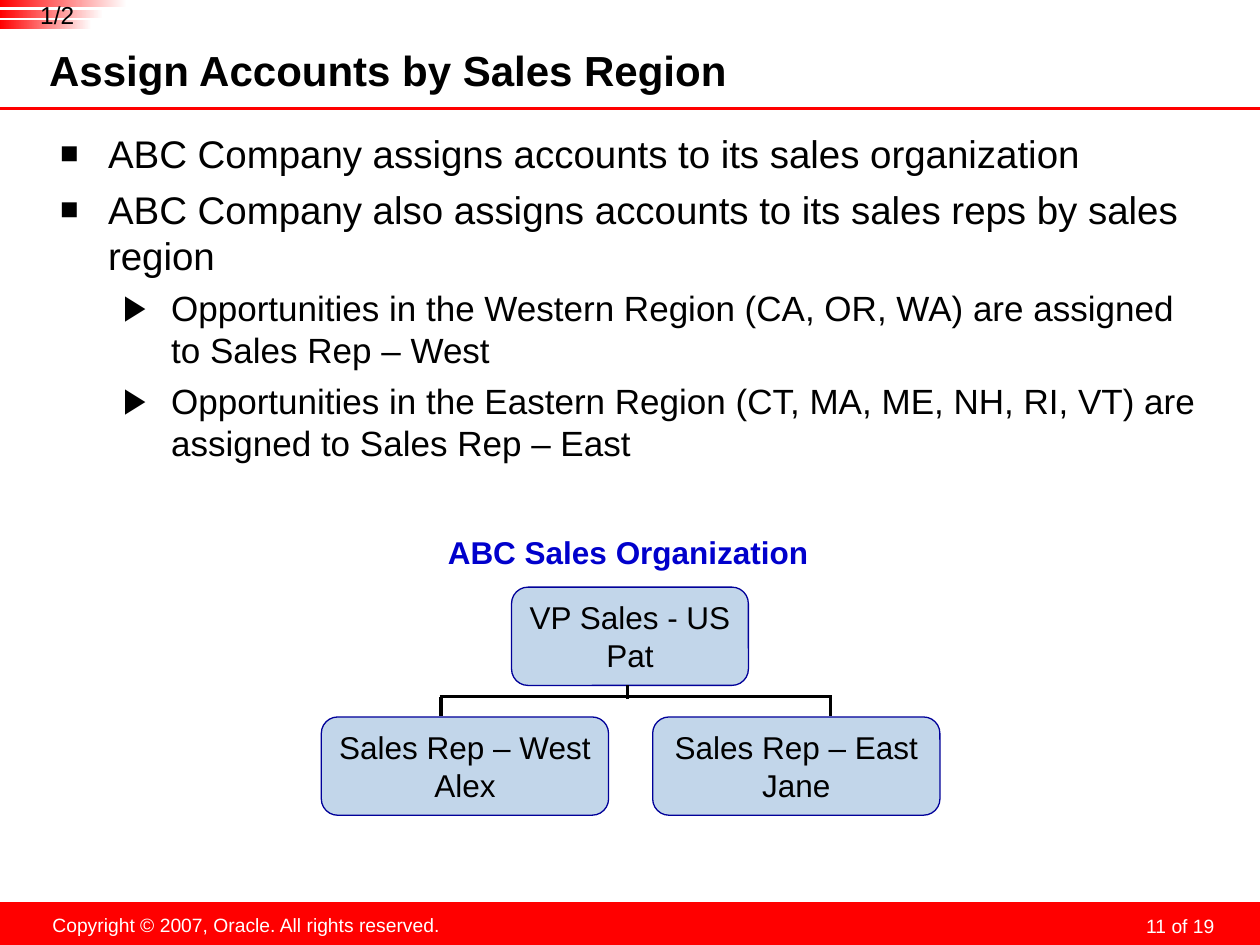
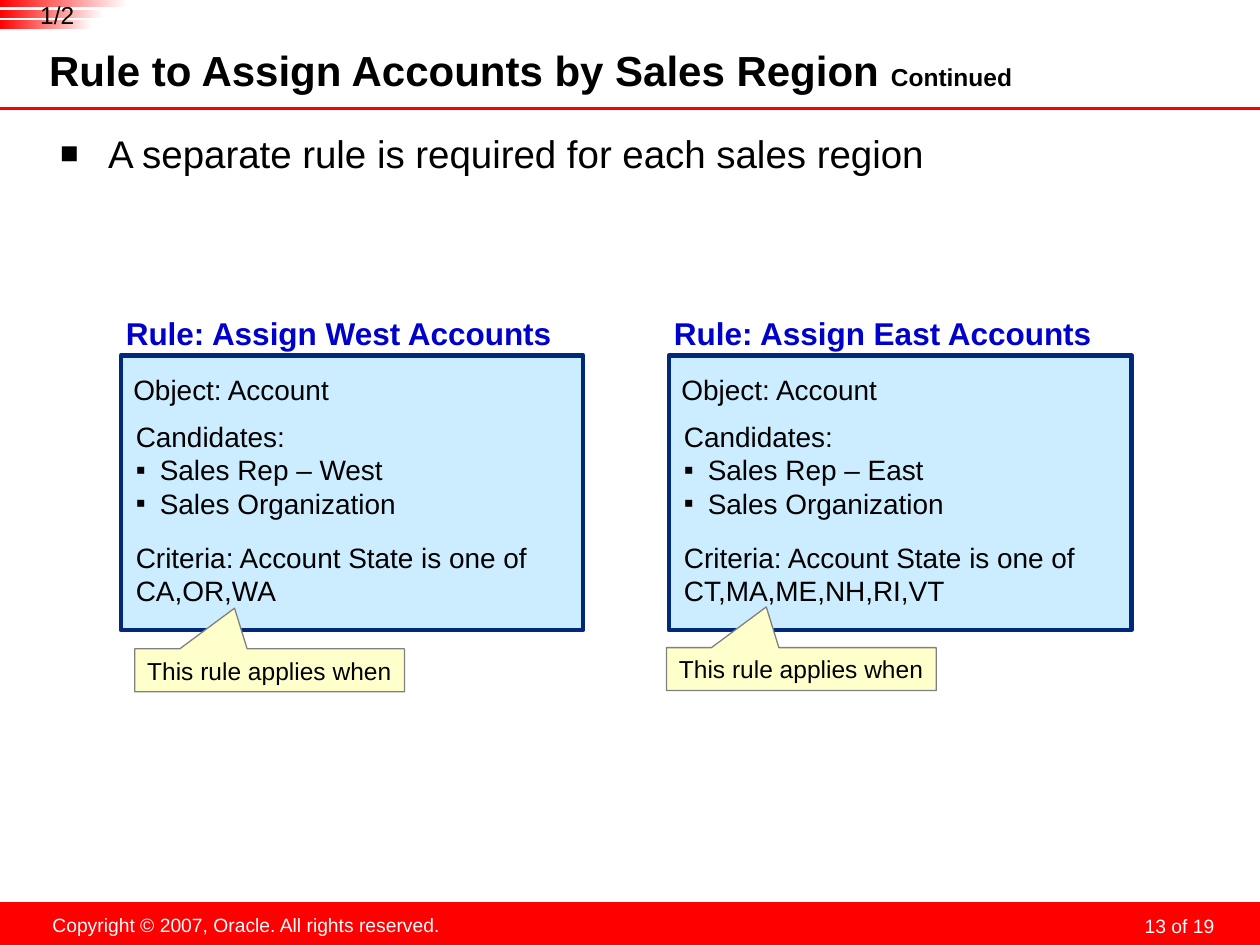
from dataclasses import dataclass
from lxml import etree
from pptx import Presentation, util as u
from pptx.dml.color import RGBColor
from pptx.enum import shapes as sh, text as tx
from pptx.oxml.ns import qn

FONT = "Arial"
RED, BLUE, BLACK, WHITE = "FF0000", "0000CC", "000000", "FFFFFF"
LEFT, MID, RIGHT = tx.PP_ALIGN.LEFT, tx.PP_ALIGN.CENTER, tx.PP_ALIGN.RIGHT
PAD = (0.1, 0.05, 0.1, 0.05)


@dataclass
class Style:
    size: float
    color: str = BLACK
    bold: bool = False
    align: object = LEFT
    before: float = 0
    indent: float = 0
    hang: float = 0
    bullet: str = ""
    scale: int = 100
    lead: float | None = None


@dataclass
class Node:
    left: float
    top: float
    width: float
    role: str
    name: str


@dataclass
class Rule:
    left: float
    region: str
    states: str
    note: tuple


HEAD = Style(24, bold=True)
SMALL = Style(14, bold=True)
POINT = Style(22, before=5.5, indent=0.38, hang=0.38, bullet="■", scale=80)
SUB = Style(20, before=5, indent=0.88, hang=0.38, bullet="▶")
PLAIN = Style(16)
ITEM = Style(16, indent=0.19, hang=0.19, bullet="▪")
LABEL = Style(18, BLUE, True)
CAPTION = Style(18, BLUE, True, MID)
ROLE = Style(18, align=MID)
NOTE = Style(14)
COUNT = Style(14, align=MID)
LEGAL = Style(11, WHITE, align=MID)
PAGE = Style(11, WHITE, align=RIGHT, lead=18)

BARS = [(0, 1.01, 0.06), (0.08, 0.82, 0.06), (0.16, 0.73, 0.07)]
NODES = [
    Node(4.06, 4.66, 1.88, "VP Sales - US", "Pat"),
    Node(2.55, 5.69, 2.28, "Sales Rep – West", "Alex"),
    Node(5.18, 5.69, 2.28, "Sales Rep – East", "Jane"),
]
LINKS = [
    (4.98, 5.44, 4.98, 5.55),
    (3.49, 5.53, 6.6, 5.53),
    (3.5, 5.53, 3.5, 5.68),
    (6.59, 5.53, 6.59, 5.68),
]
RULES = [
    Rule(5.31, "East", "CT,MA,ME,NH,RI,VT", (5.29, 5.14)),
    Rule(0.96, "West", "CA,OR,WA", (1.07, 5.15)),
]
POINTS = [
    ("ABC Company assigns accounts to its sales organization", POINT),
    ("ABC Company also assigns accounts to its sales reps by sales region", POINT),
    ("Opportunities in the Western Region (CA, OR, WA) are assigned to Sales Rep – West", SUB),
    ("Opportunities in the Eastern Region (CT, MA, ME, NH, RI, VT) are assigned to Sales Rep – East", SUB),
]


def rgb(code: str) -> RGBColor:
    return RGBColor.from_string(code)


def put(item, **form) -> None:
    for key, value in form.items():
        setattr(item, key, value)


def spot(*nums: float) -> list:
    return [u.Inches(num) for num in nums]


def add_run(para, words: str, style: Style) -> None:
    run = para.add_run()
    run.text = words
    put(run.font, name=FONT, size=u.Pt(style.size), bold=style.bold)
    run.font.color.rgb = rgb(style.color)


def mark(para, style: Style) -> None:
    props = para._p.get_or_add_pPr()
    props.set("marL", str(u.Inches(style.indent)))
    props.set("indent", str(-u.Inches(style.hang)))
    if style.bullet:
        tint = etree.SubElement(props, qn("a:buClr"))
        etree.SubElement(tint, qn("a:srgbClr"), val=style.color)
        etree.SubElement(props, qn("a:buSzPct"), val=str(style.scale * 1000))
        etree.SubElement(props, qn("a:buFont"), typeface=FONT)
        etree.SubElement(props, qn("a:buChar"), char=style.bullet)


def set_frame(frame, pad: tuple, anchor, wrap: bool) -> None:
    sides = ("margin_left", "margin_top", "margin_right", "margin_bottom")
    put(frame, word_wrap=wrap, vertical_anchor=anchor, auto_size=tx.MSO_AUTO_SIZE.NONE,
        **dict(zip(sides, spot(*pad))))


def write(shape, lines: list, pad: tuple = PAD, anchor=tx.MSO_ANCHOR.TOP, wrap: bool = True) -> None:
    frame = shape.text_frame
    set_frame(frame, pad, anchor, wrap)
    for pos, (words, style) in enumerate(lines):
        para = frame.add_paragraph() if pos else frame.paragraphs[0]
        mark(para, style)
        put(para, alignment=style.align, space_before=u.Pt(style.before if pos else 0))
        if style.lead:
            para.line_spacing = u.Pt(style.lead)
        add_run(para, words, style)


def label(slide, box: tuple, lines: list, **form) -> None:
    write(slide.shapes.add_textbox(*spot(*box)), lines, **form)


def block(slide, kind, box: tuple, fill: str, edge: str = "", width: float = 0.75):
    shape = slide.shapes.add_shape(kind, *spot(*box))
    shape.shadow.inherit = False
    shape.fill.solid()
    shape.fill.fore_color.rgb = rgb(fill)
    if edge:
        shape.line.color.rgb = rgb(edge)
        shape.line.width = u.Pt(width)
    else:
        shape.line.fill.background()
    return shape


def link(slide, ends: tuple, color: str = BLACK) -> None:
    line = slide.shapes.add_connector(sh.MSO_CONNECTOR.STRAIGHT, *spot(*ends))
    line.line.color.rgb = rgb(color)
    line.line.width = u.Pt(1.75)
    etree.SubElement(line._element.spPr, qn("a:effectLst"))


def bar(slide, top: float, width: float, height: float) -> None:
    shape = block(slide, sh.MSO_SHAPE.RECTANGLE, (0, top, width, height), RED)
    shape.fill.gradient()
    shape.fill.gradient_angle = 180
    for stop, color, pos in zip(shape.fill.gradient_stops, (WHITE, RED), (0, 1)):
        stop.color.rgb = rgb(color)
        stop.position = pos


def start(deck, title: list, page: str, points: list):
    slide = deck.slides.add_slide(deck.slide_layouts[5])
    block(slide, sh.MSO_SHAPE.RECTANGLE, (0, 7.16, 10, 0.34), RED)
    label(slide, (7.36, 7.19, 2.33, 0.25), [(page, PAGE)], pad=(0.05, 0, 0.05, 0))
    label(slide, (0.31, 7.2, 3.29, 0.29),
          [("Copyright © 2007, Oracle. All rights reserved.", LEGAL)], wrap=False)
    link(slide, (0, 0.86, 10, 0.86), RED)
    head = slide.shapes.title
    put(head, **dict(zip(("left", "top", "width", "height"), spot(0.39, 0.38, 7.87, 0.4))))
    write(head, title[:1], pad=(0, 0, 0.05, 0.05), anchor=tx.MSO_ANCHOR.MIDDLE)
    for words, style in title[1:]:
        add_run(head.text_frame.paragraphs[0], words, style)
    label(slide, (0.38, 0.93, 9.3, 6.18), points, pad=(0.1, 0.1, 0.1, 0.05))
    for size in BARS:
        bar(slide, *size)
    label(slide, (0.2, 0, 0.51, 0.23), [("1/2", COUNT)], pad=(0, 0, 0, 0))
    return slide


def draw_node(slide, node: Node) -> None:
    shape = block(slide, sh.MSO_SHAPE.ROUNDED_RECTANGLE,
                  (node.left, node.top, node.width, 0.78), "90B5DA", "000099")
    tint = shape._element.spPr.find(qn("a:solidFill")).find(qn("a:srgbClr"))
    etree.SubElement(tint, qn("a:alpha"), val="55000")
    write(shape, [(node.role, ROLE), (node.name, ROLE)], anchor=tx.MSO_ANCHOR.MIDDLE, wrap=False)


def draw_rule(slide, rule: Rule) -> None:
    left = rule.left
    block(slide, sh.MSO_SHAPE.RECTANGLE, (left, 2.82, 3.67, 2.18), "CCECFF", "00297B", 2.5)
    label(slide, (left, 2.91, 3.22, 0.37), [("Object: Account", PLAIN)])
    label(slide, (left + 0.02, 4.24, 3.45, 0.64),
          [(f"Criteria: Account State is one of {rule.states}", PLAIN)])
    label(slide, (left + 0.02, 3.28, 3.17, 0.9),
          [("Candidates:", PLAIN), (f"Sales Rep – {rule.region}", ITEM), ("Sales Organization", ITEM)])
    label(slide, (left - 0.06, 2.44, 3.98, 0.4), [(f"Rule: Assign {rule.region} Accounts", LABEL)])
    note = block(slide, sh.MSO_SHAPE.RECTANGULAR_CALLOUT, (*rule.note, 2.14, 0.34), "FFFFCC", "808080")
    note.adjustments[0], note.adjustments[1] = -0.13, -1.45
    write(note, [("This rule applies when", NOTE)], anchor=tx.MSO_ANCHOR.MIDDLE, wrap=False)


def main() -> None:
    deck = Presentation()
    put(deck, slide_width=u.Inches(10), slide_height=u.Inches(7.5))

    team = start(deck, [("Assign Accounts by Sales Region", HEAD)], "11 of 19", POINTS)
    for node in NODES:
        draw_node(team, node)
    label(team, (3.3, 4.18, 3.37, 0.4), [("ABC Sales Organization", CAPTION)])
    for ends in LINKS:
        link(team, ends)

    rules = start(deck, [("Rule to Assign Accounts by Sales Region ", HEAD), ("Continued", SMALL)],
                  "13 of 19", [("A separate rule is required for each sales region", POINT)])
    for rule in RULES:
        draw_rule(rules, rule)

    deck.save("out.pptx")


if __name__ == "__main__":
    main()
